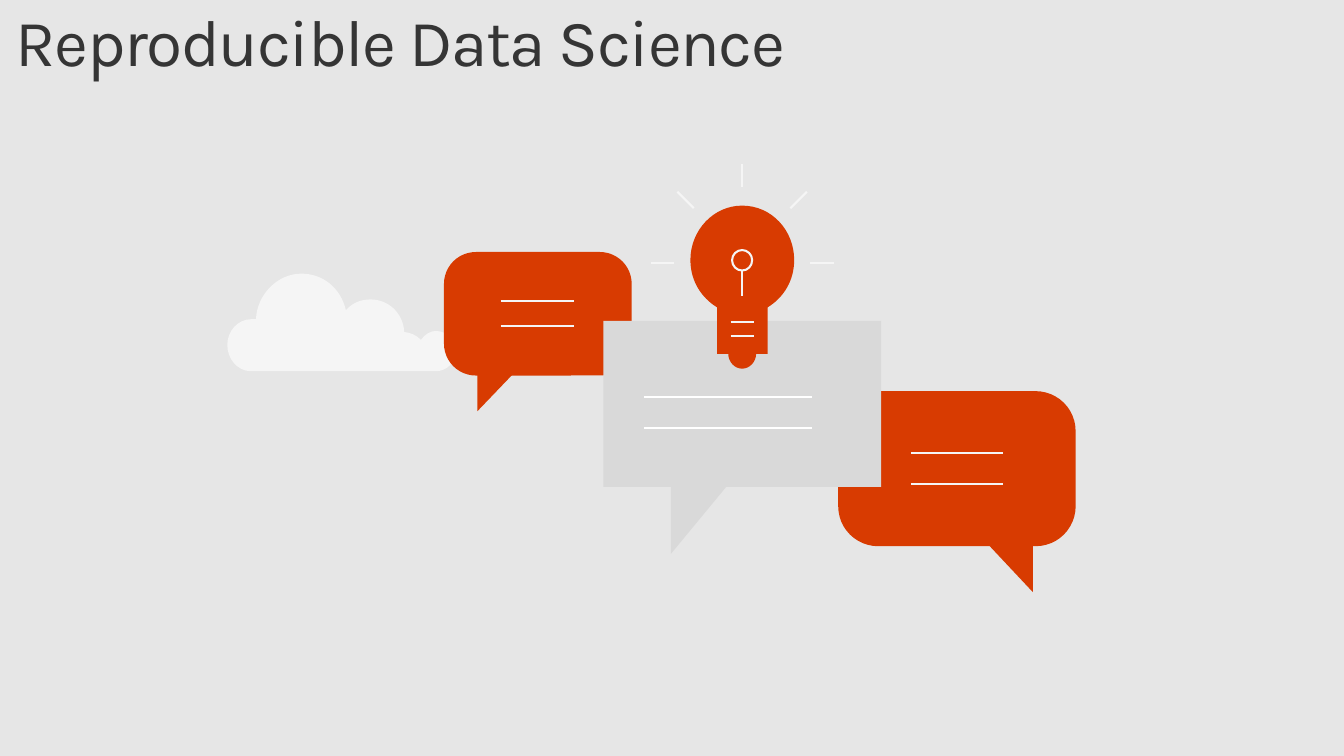
from dataclasses import dataclass

from pptx import Presentation
from pptx import util as u
from pptx.dml.color import RGBColor
from pptx.enum import shapes, text
from pptx.oxml import ns
from pptx.oxml.xmlchemy import OxmlElement
from pptx.shapes.autoshape import Shape
from pptx.slide import Slide

ORANGE, PANEL_GREY, PALE, WHITE = "D83B01", "D9D9D9", "F5F5F5", "FFFFFF"
BACKGROUND, TITLE_COLOUR = "E6E6E6", "353535"
STROKE = 1.5
BULB_AXIS = 540.7

Point = tuple[float, float]
Box = tuple[float, float, float, float]


@dataclass(frozen=True)
class Contour:
    """A step of 2 numbers is a line, one of 6 a cubic curve."""
    start: Point
    steps: tuple[tuple[float, ...], ...]
    closed: bool = False


@dataclass(frozen=True)
class TextLines:
    """Two ruled lines that stand for written text."""
    left: float
    right: float
    heights: tuple[float, float]


@dataclass(frozen=True)
class Bubble:
    body: Box
    writing: TextLines
    tail: Box
    tail_on_left: bool


CLOUD = Contour((182.9, 232.6), (
    (184.3, 232.6, 185.8, 232.6, 186.5, 232.6),
    (187.2, 214.6, 202.3, 199.4, 219.6, 199.4),
    (235.4, 199.4, 248.4, 210.2, 252, 226.1),
    (257, 220.3, 263.5, 218.2, 270, 218.2),
    (283, 218.2, 293.8, 228.2, 294.5, 241.9),
    (299.5, 242.6, 303.1, 244.1, 306.7, 247.7),
    (309.6, 243.4, 313.9, 241.2, 317.5, 241.2),
    (325.4, 241.2, 331.9, 247.7, 331.9, 255.6),
    (331.9, 264.2, 325.4, 270.5, 317.5, 270.5),
    (182.2, 270.5),
    (172.8, 270, 165.6, 261.4, 165.6, 251.3),
    (165.6, 241.2, 173.5, 232.6, 182.9, 232.6),
), True)

BULB = Contour((503, 189.4), (
    (503, 167.8, 519.8, 149.8, BULB_AXIS, 149.8),
    (562.2, 149.8, 578.6, 167.8, 578.6, 189.4),
    (578.6, 204.5, 571, 216.7, 559.3, 223.9),
    (559.3, 257.8),
    (550.9, 257.8),
    (550.9, 263.5, 546.2, 268.6, BULB_AXIS, 268.6),
    (535.2, 268.6, 530.6, 263.5, 530.6, 257.8),
    (522.4, 257.8),
    (522.4, 223.9),
    (510.8, 216.7, 503, 204.5, 503, 189.4),
), True)

CENTRE_BUBBLE = Contour((471.6, 233.8), (
    (439.6, 233.8), (439.6, 354.8), (488.8, 354.8), (488.8, 403.6),
    (529.1, 354.8), (642, 354.8), (642, 233.8), (609.8, 233.8),
))

RING = Contour((533.4, 189.6), (
    (533.4, 185.5, 536.7, 182.2, BULB_AXIS, 182.2),
    (544.7, 182.2, 548, 185.5, 548, 189.6),
    (548, 193.8, 544.7, 197.1, BULB_AXIS, 197.1),
    (536.7, 197.1, 533.4, 193.8, 533.4, 189.6),
), True)

SIDE_BUBBLES = (
    Bubble((323.5, 183.6, 136.8, 90), TextLines(364.8, 418.3, (219.4, 237.6)),
           (347.8, 266.6, 31.6, 33), True),
    Bubble((610.7, 285, 173, 113), TextLines(663.7, 730.8, (330.3, 352.8)),
           (713, 389.3, 39.6, 42.2), False),
)
CENTRE_WRITING = TextLines(469.1, 591.4, (289.4, 311.8))
SCREW_THREADS = TextLines(532.4, 549.2, (234.7, 244.8))

# Outer and inner end of each mirrored ray, measured across from the bulb's axis
SIDE_RAYS = (((66.6, 191.5), (49.4, 191.5)), ((47.2, 139.7), (35.2, 151.7)))
STEM_AND_TOP_RAY = ((197.1, 215.4), (119.2, 136.4))


def rgb(colour: str) -> RGBColor:
    return RGBColor.from_string(colour)


def pts(lengths: tuple[float, ...]) -> list[u.Length]:
    return [u.Pt(length) for length in lengths]


def paint(shape: Shape, colour: str) -> None:
    """Give the shape a flat fill with no outline and no shadow."""
    shape.shadow.inherit = False
    shape.fill.solid()
    shape.fill.fore_color.rgb = rgb(colour)
    shape.line.fill.background()


def stroke(shape: Shape, colour: str) -> None:
    """Give the shape an outline only."""
    shape.shadow.inherit = False
    shape.fill.background()
    shape.line.color.rgb = rgb(colour)
    shape.line.width = u.Pt(STROKE)


def draw_contours(slide: Slide, *contours: Contour) -> Shape:
    """Build one freeform through the step ends, then bend its curved steps."""
    builder = slide.shapes.build_freeform(*pts(contours[0].start))
    for index, contour in enumerate(contours):
        if index:
            builder.move_to(*pts(contour.start))
        ends = [pts(step[-2:]) for step in contour.steps]
        builder.add_line_segments(ends, close=contour.closed)
    shape = builder.convert_to_shape()
    steps = [step for contour in contours for step in contour.steps]
    segments = list(shape._element.iter(ns.qn("a:lnTo")))
    for step, segment in zip(steps, segments):
        if len(step) == 6:
            bend(shape, segment, step)
    return shape


def bend(shape: Shape, segment: OxmlElement, step: tuple[float, ...]) -> None:
    """Replace a straight segment by a cubic curve."""
    curve = OxmlElement("a:cubicBezTo")
    for x, y in zip(step[::2], step[1::2]):
        point = OxmlElement("a:pt")
        point.set("x", str(u.Pt(x) - shape.left))
        point.set("y", str(u.Pt(y) - shape.top))
        curve.append(point)
    segment.getparent().replace(segment, curve)


def rules(lines: TextLines) -> list[Contour]:
    return [Contour((lines.left, y), ((lines.right, y),)) for y in lines.heights]


def draw_bubble(slide: Slide, bubble: Bubble) -> None:
    body = slide.shapes.add_shape(shapes.MSO_SHAPE.ROUNDED_RECTANGLE, *pts(bubble.body))
    body.adjustments[0] = 0.258
    paint(body, ORANGE)
    stroke(draw_contours(slide, *rules(bubble.writing)), PALE)
    tail = slide.shapes.add_shape(shapes.MSO_SHAPE.RIGHT_TRIANGLE, *pts(bubble.tail))
    tail.rotation = 180
    if bubble.tail_on_left:
        tail._element.spPr.find(ns.qn("a:xfrm")).set("flipH", "1")
    paint(tail, ORANGE)


def draw_filament_and_rays(slide: Slide) -> None:
    upright = [Contour((BULB_AXIS, top), ((BULB_AXIS, bottom),))
               for top, bottom in STEM_AND_TOP_RAY]
    rays = [Contour((BULB_AXIS + side * outer, outer_y),
                    ((BULB_AXIS + side * inner, inner_y),))
            for side in (-1, 1)
            for (outer, outer_y), (inner, inner_y) in SIDE_RAYS]
    stroke(draw_contours(slide, *upright, RING, *rays, *rules(SCREW_THREADS)), PALE)


def draw_title(slide: Slide, wording: str) -> None:
    title = slide.shapes.add_textbox(*pts((0, 0, 979.2, 66.2))).text_frame
    title.word_wrap = True
    title.vertical_anchor = text.MSO_ANCHOR.TOP
    title.margin_left = title.margin_right = u.Pt(11.5)
    title.margin_top = title.margin_bottom = u.Pt(7.2)
    title.text = wording
    paragraph = title.paragraphs[0]
    paragraph.line_spacing = 0.9
    run = paragraph.runs[0]
    run.font.name = "Karla"
    run.font.size = u.Pt(48)
    run.font.color.rgb = rgb(TITLE_COLOUR)
    run.font._element.set("spc", "-102")


def main() -> None:
    deck = Presentation()
    deck.slide_width, deck.slide_height = u.Pt(979.2), u.Pt(550.8)
    slide = deck.slides.add_slide(deck.slide_layouts[6])
    slide.background.fill.solid()
    slide.background.fill.fore_color.rgb = rgb(BACKGROUND)
    draw_title(slide, "Reproducible Data Science")
    paint(draw_contours(slide, CLOUD), PALE)
    for bubble in SIDE_BUBBLES:
        draw_bubble(slide, bubble)
    paint(draw_contours(slide, CENTRE_BUBBLE), PANEL_GREY)
    paint(draw_contours(slide, BULB), ORANGE)
    draw_filament_and_rays(slide)
    stroke(draw_contours(slide, *rules(CENTRE_WRITING)), WHITE)
    deck.save("out.pptx")


if __name__ == "__main__":
    main()
